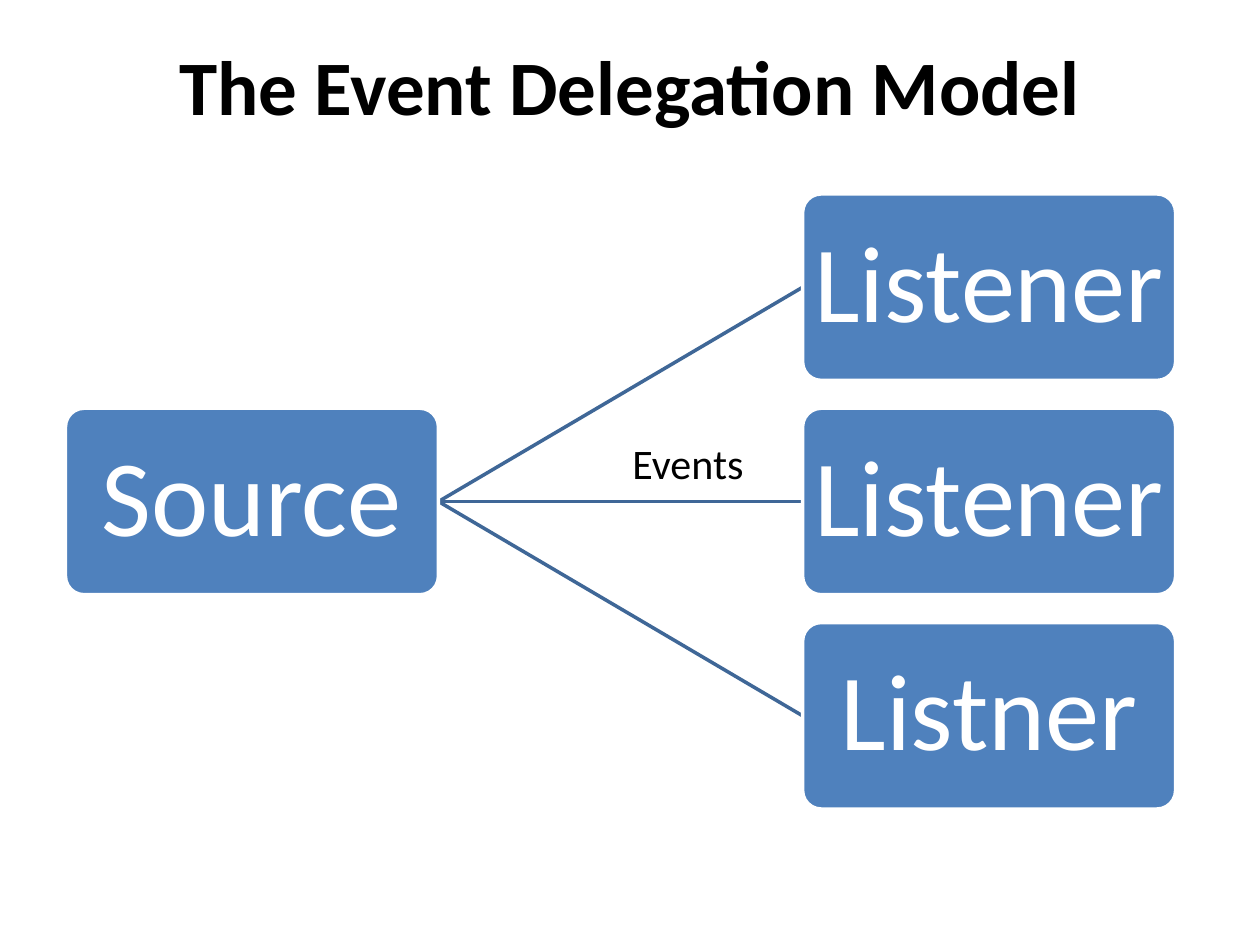
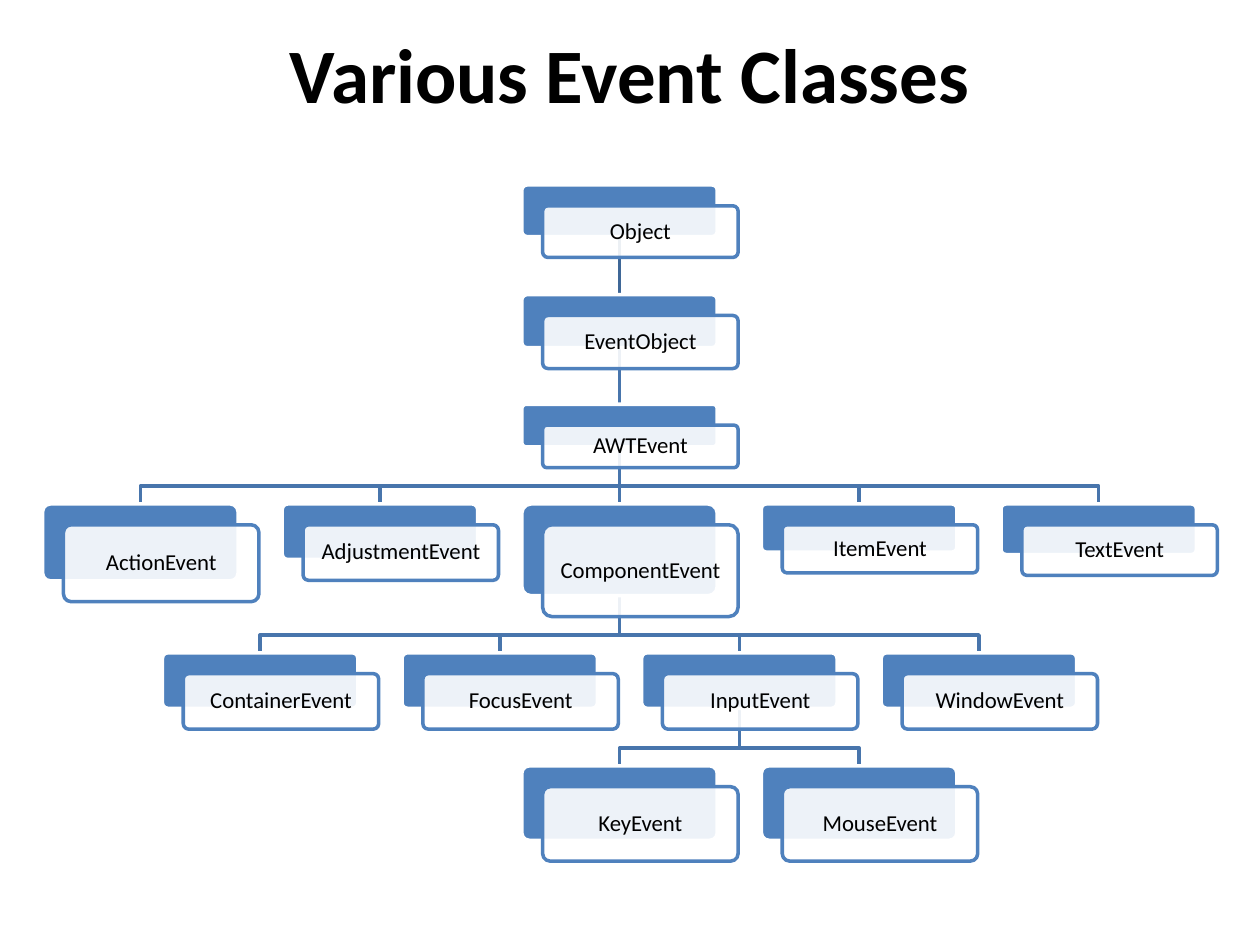
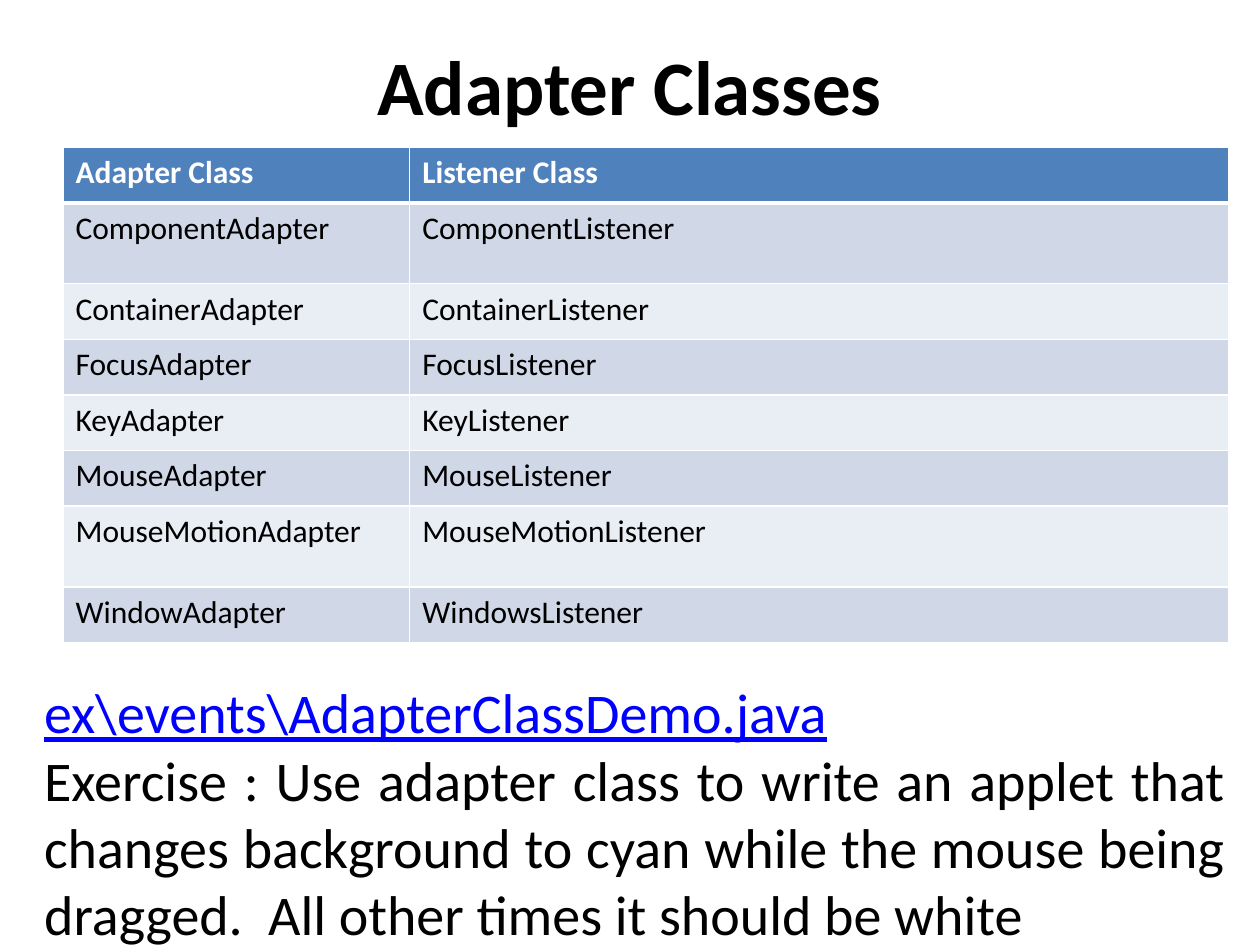
from lxml.etree import SubElement
from pptx import Presentation
from pptx.dml.color import RGBColor
from pptx.enum.shapes import MSO_CONNECTOR as Connector, MSO_SHAPE as Preset
from pptx.enum.text import MSO_ANCHOR as Anchor, MSO_AUTO_SIZE as AutoSize, PP_ALIGN as Align
from pptx.oxml.ns import qn
from pptx.util import Cm, Pt

COLORS = {
    "text": "000000",
    "white": "FFFFFF",
    "accent": "4F81BD",
    "dark_line": "3F6797",
    "tree_line": "4875AC",
    "odd_row": "D0D8E8",
    "even_row": "E9EDF4",
    "link": "0000FF",
}
FONT = "Calibri"
TITLE_ONLY = 5
TOP, LEFT, BOTTOM, RIGHT = range(4)


def rgb(name):
    return RGBColor.from_string(COLORS[name])


def write_text(paragraph, text, size=18, color="text", bold=False, underline=False,
               align=Align.LEFT, spacing=None):
    paragraph.alignment = align
    if spacing:
        paragraph.line_spacing = spacing
    run = paragraph.add_run()
    run.text = text
    font = run.font
    font.name, font.size, font.bold, font.underline = FONT, Pt(size), bold, underline
    font.color.rgb = rgb(color)


class Deck:
    def __init__(self):
        self.presentation = Presentation()
        self.presentation.slide_width = Cm(25.4)
        self.presentation.slide_height = Cm(19.05)
        self.slide = None

    def add_slide(self, title, top=0.43):
        layout = self.presentation.slide_layouts[TITLE_ONLY]
        self.slide = self.presentation.slides.add_slide(layout)
        shape = self.slide.shapes.title
        shape.left, shape.top, shape.width, shape.height = Cm(0), Cm(top), Cm(25.4), Cm(2.54)
        frame = shape.text_frame
        frame.auto_size = AutoSize.NONE
        frame.vertical_anchor = Anchor.MIDDLE
        write_text(frame.paragraphs[0], title, size=44, bold=True, align=Align.CENTER)

    def box(self, left, top, width, height, fill="accent", line="white", alpha=None):
        shape = self.slide.shapes.add_shape(
            Preset.ROUNDED_RECTANGLE, Cm(left), Cm(top), Cm(width), Cm(height))
        shape.adjustments[0] = 0.1
        shape.shadow.inherit = False
        shape.fill.solid()
        shape.fill.fore_color.rgb = rgb(fill)
        if alpha:
            color = shape.fill._xPr.find(qn("a:solidFill"))[0]
            SubElement(color, qn("a:alpha"), val=str(alpha * 1000))
        shape.line.color.rgb = rgb(line)
        shape.line.width = Pt(2)
        return shape

    def label(self, shape, text, inset, **style):
        frame = shape.text_frame
        frame.word_wrap = True
        frame.vertical_anchor = Anchor.MIDDLE
        frame.margin_left = frame.margin_right = Cm(inset)
        frame.margin_top = frame.margin_bottom = Cm(inset)
        write_text(frame.paragraphs[0], text, align=Align.CENTER, spacing=0.9, **style)

    def text_box(self, left, top, width, height, *paragraphs):
        shape = self.slide.shapes.add_textbox(Cm(left), Cm(top), Cm(width), Cm(height))
        frame = shape.text_frame
        frame.word_wrap = True
        for index, (text, style) in enumerate(paragraphs):
            paragraph = frame.add_paragraph() if index else frame.paragraphs[0]
            write_text(paragraph, text, **style)

    def send_to_back(self, shape):
        self.slide.shapes.element.insert(2, shape.element)

    def link(self, start, start_side, end, end_side, color):
        connector = self.slide.shapes.add_connector(Connector.STRAIGHT, 0, 0, 0, 0)
        connector.begin_connect(start, start_side)
        connector.end_connect(end, end_side)
        connector.line.color.rgb = rgb(color)
        connector.line.width = Pt(2)
        SubElement(connector.element.spPr, qn("a:effectLst"))
        self.send_to_back(connector)

    def branch(self, parent, child, color):
        start_x = parent.left + parent.width // 2
        end_x = child.left + child.width // 2
        bend_y = child.top - Cm(0.36)
        builder = self.slide.shapes.build_freeform(start_x, parent.top + parent.height)
        builder.add_line_segments(
            [(start_x, bend_y), (end_x, bend_y), (end_x, child.top)], close=False)
        shape = builder.convert_to_shape()
        shape.shadow.inherit = False
        shape.fill.background()
        shape.line.color.rgb = rgb(color)
        shape.line.width = Pt(2)
        self.send_to_back(shape)

    def cell(self, cell, text, fill, borders, **style):
        properties = cell._tc.get_or_add_tcPr()
        for side, width in borders.items():
            line = SubElement(properties, qn(f"a:ln{side}"), w=str(Pt(width)))
            solid = SubElement(line, qn("a:solidFill"))
            SubElement(solid, qn("a:srgbClr"), val=COLORS["white"])
        cell.fill.solid()
        cell.fill.fore_color.rgb = rgb(fill)
        write_text(cell.text_frame.paragraphs[0], text, align=Align.JUSTIFY, **style)

    def table(self, left, top, widths, heights, rows):
        table = self.slide.shapes.add_table(
            len(rows), len(widths), Cm(left), Cm(top),
            Cm(sum(widths)), Cm(sum(heights))).table
        for column, width in zip(table.columns, widths):
            column.width = Cm(width)
        for index, (values, height) in enumerate(zip(rows, heights)):
            table.rows[index].height = Cm(height)
            header = index == 0
            fill = "accent" if header else ("even_row", "odd_row")[index % 2]
            borders = {"L": 1, "R": 1, "T": 3 if index == 1 else 1, "B": 3 if header else 1}
            for column, value in enumerate(values):
                self.cell(table.cell(index, column), value, fill, borders,
                          color="white" if header else "text", bold=header)


def delegation_slide(deck):
    deck.add_slide("The Event Delegation Model")
    width, height, pitch, first_top = 7.52, 3.76, 4.32, 3.91
    node_style = {"inset": 0.1, "size": 62, "color": "white"}
    source = deck.box(1.32, first_top + pitch, width, height)
    deck.label(source, "Source", **node_style)
    for index, name in enumerate(["Listener", "Listener", "Listner"]):
        listener = deck.box(16.18, first_top + index * pitch, width, height)
        deck.label(listener, name, **node_style)
        deck.link(source, RIGHT, listener, LEFT, "dark_line")
    deck.text_box(12.5, 8.69, 3.38, 1.27, ("Events", {"size": 24}))


def event_classes_slide(deck):
    deck.add_slide("Various Event Classes", top=0.2)
    level_tops = [3.73, 5.94, 8.15, 10.16, 13.16, 15.44]
    classes = [
        ("Object", None, 0, 2, 1.04),
        ("EventObject", "Object", 1, 2, 1.07),
        ("AWTEvent", "EventObject", 2, 2, 0.86),
        ("ActionEvent", "AWTEvent", 3, 0, 1.55),
        ("AdjustmentEvent", "AWTEvent", 3, 1, 1.12),
        ("ComponentEvent", "AWTEvent", 3, 2, 1.85),
        ("ItemEvent", "AWTEvent", 3, 3, 0.97),
        ("TextEvent", "AWTEvent", 3, 4, 1.02),
        ("ContainerEvent", "ComponentEvent", 4, 0.5, 1.12),
        ("FocusEvent", "ComponentEvent", 4, 1.5, 1.12),
        ("InputEvent", "ComponentEvent", 4, 2.5, 1.12),
        ("WindowEvent", "ComponentEvent", 4, 3.5, 1.12),
        ("KeyEvent", "InputEvent", 5, 2, 1.5),
        ("MouseEvent", "InputEvent", 5, 3, 1.5),
    ]
    width, offset = 3.94, 0.42
    cards = {}
    for name, parent_name, level, column, height in classes:
        left, top = 0.86 + 4.83 * column, level_tops[level]
        card = cards[name] = deck.box(left, top, width, height)
        front = deck.box(left + offset, top + offset, width, height,
                         fill="white", line="accent", alpha=90)
        deck.label(front, name, inset=0.13, size=13)
        if parent_name is None:
            continue
        parent = cards[parent_name]
        color = "dark_line" if parent_name == "Object" else "tree_line"
        if parent.left == card.left:
            deck.link(parent, BOTTOM, card, TOP, color)
        else:
            deck.branch(parent, card, color)


def adapter_slide(deck):
    deck.add_slide("Adapter Classes")
    rows = [
        ("Adapter Class", "Listener Class"),
        ("ComponentAdapter", "ComponentListener"),
        ("ContainerAdapter", "ContainerListener"),
        ("FocusAdapter", "FocusListener"),
        ("KeyAdapter", "KeyListener"),
        ("MouseAdapter", "MouseListener"),
        ("MouseMotionAdapter", "MouseMotionListener"),
        ("WindowAdapter", "WindowsListener"),
    ]
    heights = [1.63 if index in (1, 6) else 1.12 for index in range(len(rows))]
    deck.table(1.27, 2.97, [6.99, 16.51], heights, rows)
    style = {"size": 32, "align": Align.JUSTIFY}
    deck.text_box(
        0.64, 13.54, 24.33, 5.74,
        ("ex\\events\\AdapterClassDemo.java", {**style, "color": "link", "underline": True}),
        ("Exercise : Use adapter class to write an applet that changes background to cyan "
         "while the mouse being dragged.  All other times it should be white", style))


def main():
    deck = Deck()
    delegation_slide(deck)
    event_classes_slide(deck)
    adapter_slide(deck)
    deck.presentation.save("out.pptx")


if __name__ == "__main__":
    main()
